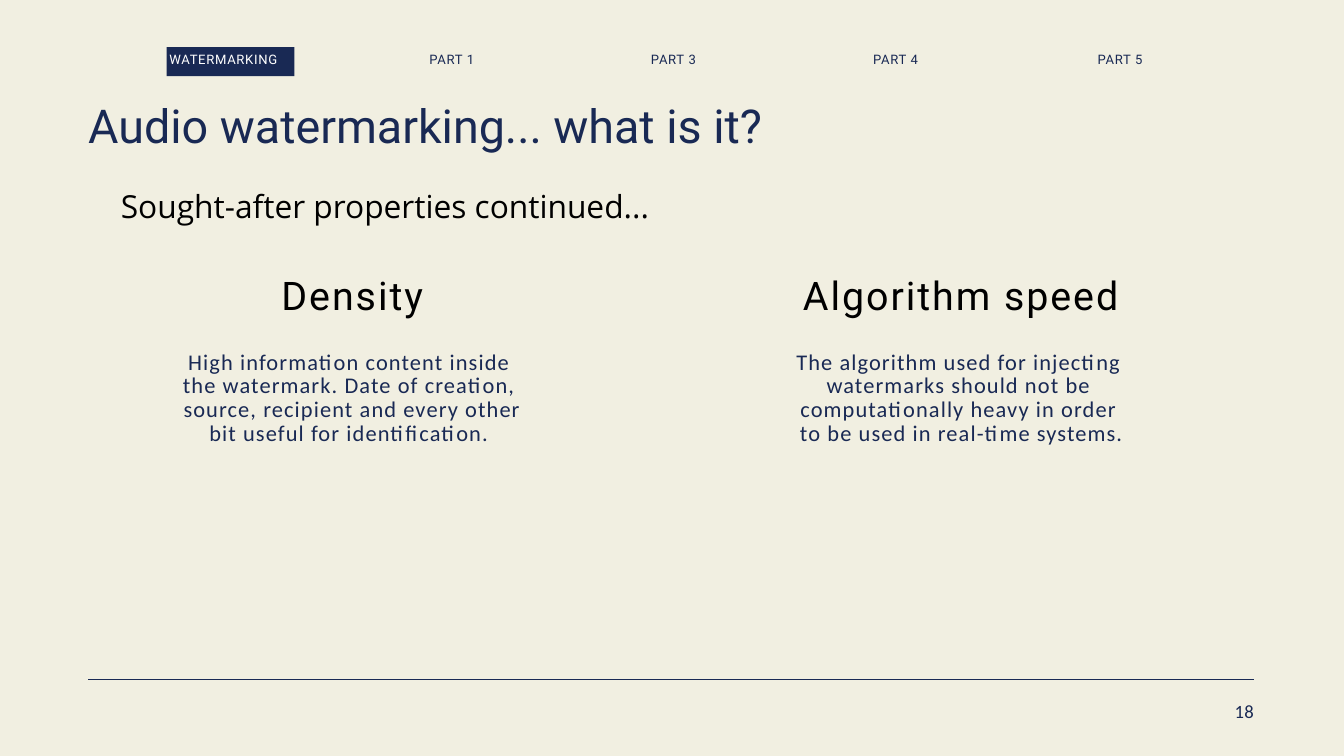
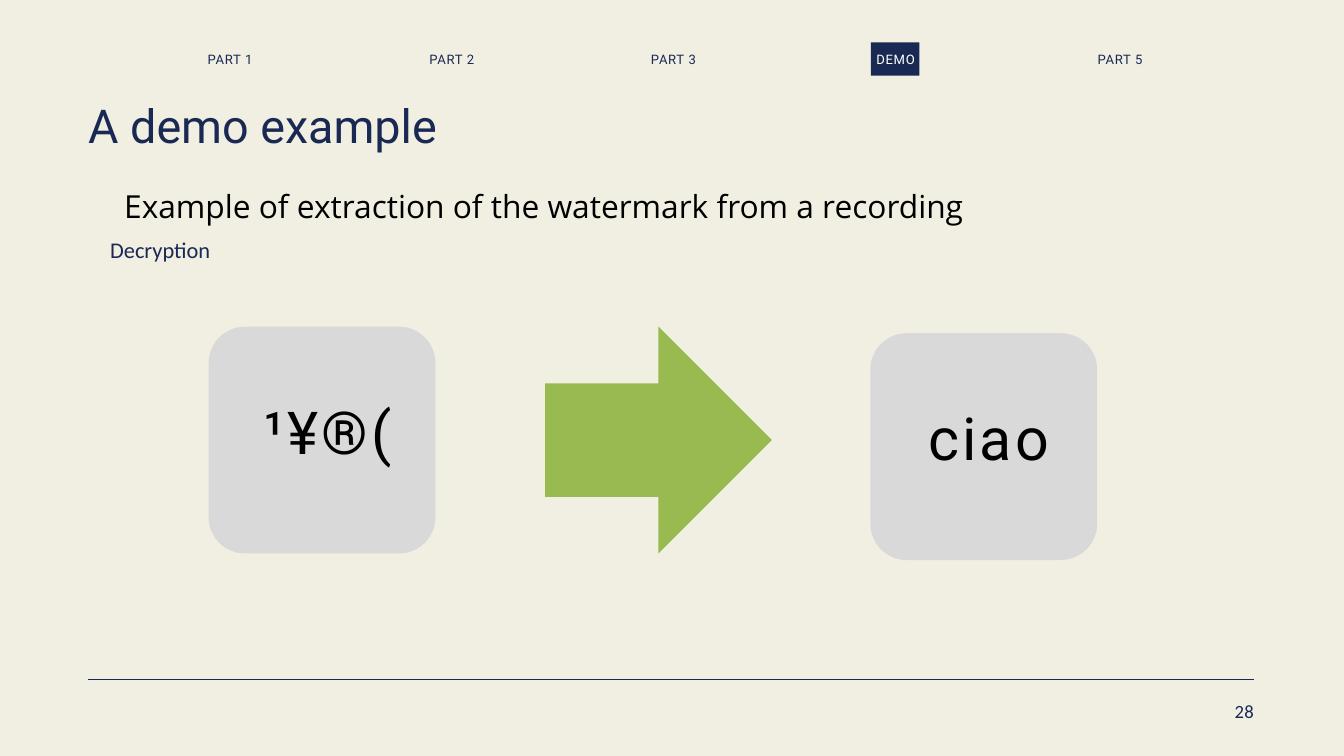
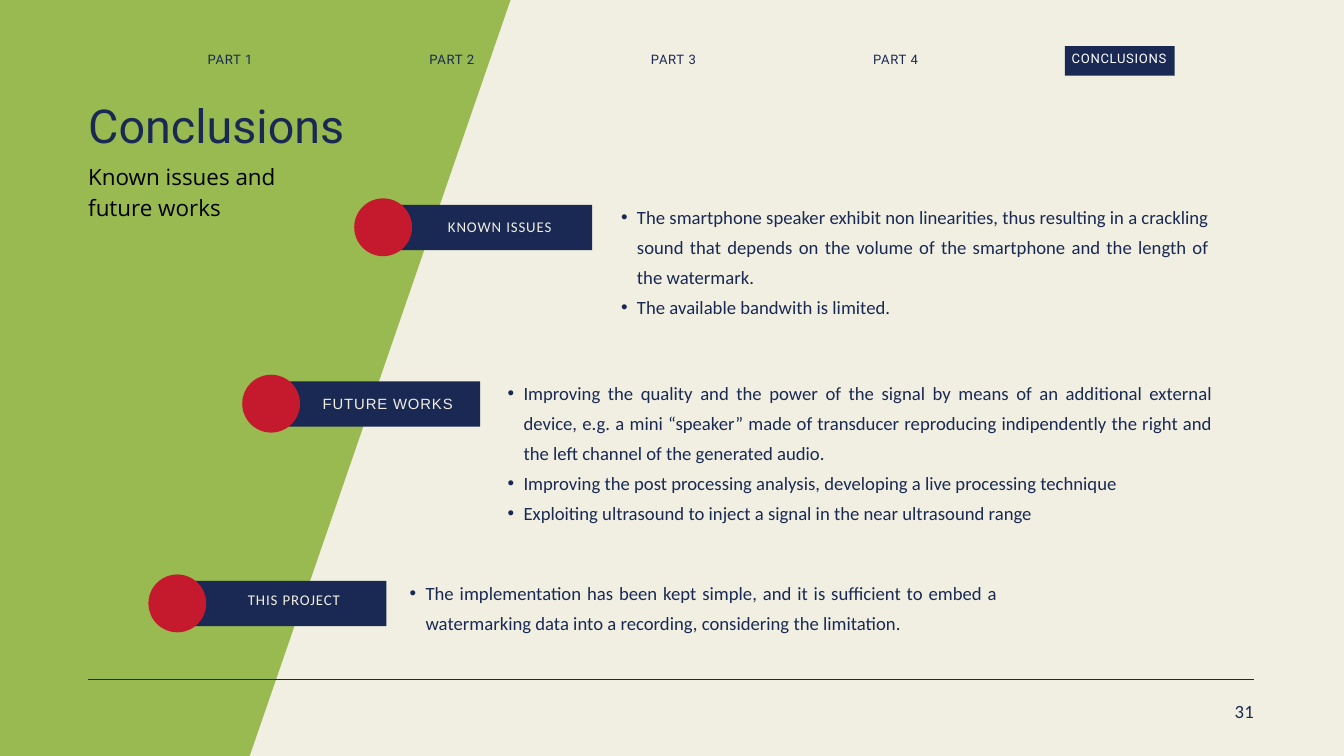
from lxml import etree
from pptx import Presentation
from pptx import util as u
from pptx.dml import color
from pptx.enum import shapes, text
from pptx.oxml import ns

HUES = {"paper": "F1EFE1", "navy": "192954", "green": "99B951", "red": "C5192D",
        "grey": "D9D9D9", "black": "000000", "white": "FFFFFF"}
SIDES = {"l": text.PP_ALIGN.LEFT, "c": text.PP_ALIGN.CENTER,
         "r": text.PP_ALIGN.RIGHT, "j": text.PP_ALIGN.JUSTIFY}
KINDS = shapes.MSO_SHAPE

# Style: font, size, colour, line height, letter spacing, alignment
STYLES = {
    "title": ("Roboto", 50, "navy", 52.5, 0, "j"),
    "tab": ("Roboto", 14, "navy", 14.8, 0.7, "l"),
    "page": ("Calibri", 20, "navy", 28, 0.4, "r"),
    "lead": ("Open Sans", 34, "black", 47.6, 0, "l"),
    "sub": ("Open Sans", 24, "black", 33.6, 0, "l"),
    "head": ("Roboto", 42.2, "black", 44.7, 2.1, "c"),
    "body": ("Calibri", 24, "navy", 25.4, 1.2, "c"),
    "note": ("Calibri", 24, "navy", 36, 0, "l"),
    "sign": ("Roboto", 63.4, "black", 67.2, 3.2, "c"),
    "label": ("Calibri", 15.9, "paper", 19.1, 0.9, "c"),
    "list": ("Calibri", 20, "navy", 32, 0, "j"),
}
TABS = (222.5, 460, 697.5, 935.5, 1176)


def tint(name):
    return color.RGBColor.from_string(HUES[name])


def pts(*nums):
    return [u.Pt(n) for n in nums]


class Deck:
    def __init__(self):
        self.prs = Presentation()
        self.prs.slide_width, self.prs.slide_height = pts(1440, 810)
        self.slide = None

    def start(self):
        self.slide = self.prs.slides.add_slide(self.prs.slide_layouts[6])
        fill = self.slide.background.fill
        fill.solid()
        fill.fore_color.rgb = tint("paper")

    def paint(self, shape, hue):
        shape.shadow.inherit = False
        shape.fill.solid()
        shape.fill.fore_color.rgb = tint(hue)
        shape.line.fill.background()
        return shape

    def shape(self, kind, box, hue):
        return self.paint(self.slide.shapes.add_shape(kind, *pts(*box)), hue)

    def outline(self, dots, hue):
        dots = [pts(*dot) for dot in dots]
        form = self.slide.shapes.build_freeform(*dots[0], scale=1.0)
        form.add_line_segments(dots[1:], close=True)
        self.paint(form.convert_to_shape(), hue)

    def rule(self):
        line = self.slide.shapes.add_connector(
            shapes.MSO_CONNECTOR.STRAIGHT, *pts(94.5, 728, 1343.5, 728))
        line.line.color.rgb = tint("navy")
        line.line.width = u.Pt(0.75)
        etree.SubElement(line._element.spPr, ns.qn("a:effectLst"))

    def words(self, style, box, *lines, **swap):
        """Write one paragraph per line; swap may give font, hue or side."""
        font, size, hue, high, gap, side = STYLES[style]
        frame = self.slide.shapes.add_textbox(*pts(*box)).text_frame
        frame.word_wrap = True
        frame.margin_left = frame.margin_right = 0
        frame.margin_top = frame.margin_bottom = 0
        for i, line in enumerate(lines):
            para = frame.add_paragraph() if i else frame.paragraphs[0]
            para.alignment = SIDES[swap.get("side", side)]
            para.line_spacing = u.Pt(high)
            run = para.add_run()
            run.text = line
            run.font.name = swap.get("font", font)
            run.font.size = u.Pt(size)
            run.font.color.rgb = tint(swap.get("hue", hue))
            if gap:
                run.font._element.set("spc", str(round(gap * 100)))
            if style == "list":
                self.bullet(para)

    def bullet(self, para):
        props = para._p.get_or_add_pPr()
        props.set("marL", str(u.Pt(34)))
        props.set("indent", str(u.Pt(-17)))
        etree.SubElement(props, ns.qn("a:buFont"), typeface="Arial")
        etree.SubElement(props, ns.qn("a:buChar"), char="•")

    def frame(self, title, page, tabs, live, plate, spot, side="l"):
        """Draw title, footer and tabs; the live tab sits on a plate."""
        self.rule()
        self.words("page", (1200, 746, 143.5, 27), page)
        self.words("title", (94.5, 111, 980, 62), title)
        self.shape(KINDS.RECTANGLE, plate, "navy")
        for i, (left, name) in enumerate(zip(TABS, tabs)):
            if i == live:
                self.words("tab", spot, name, hue="white", side=side)
            else:
                self.words("tab", (left, 57, 55, 17), name)

    def tile(self, left, top, sign, spot):
        tile = self.shape(KINDS.ROUNDED_RECTANGLE, (left, top, 243, 243), "grey")
        tile.adjustments[0] = 0.16
        self.words("sign", spot, sign)

    def step(self, left, top, name, drop, spot, lines, font="Calibri"):
        """Draw a labelled bar with a disc, and its list at spot (left, width)."""
        self.shape(KINDS.RECTANGLE, (left, top, 227, 48.5), "navy")
        self.shape(KINDS.OVAL, (left - 28, top - 7, 62, 62), "red")
        self.words("label", (left + 34, top + drop, 188, 19), name, font=font)
        self.words("list", (spot[0], top - 7, spot[1], 32 * len(lines)), *lines)


def traits(deck):
    deck.start()
    deck.frame("Audio watermarking... what is it?", "18",
               ("WATERMARKING", "PART 1", "PART 3", "PART 4", "PART 5"), 0,
               (178.5, 50.5, 137, 31), (181.5, 57, 132, 17))
    deck.words("lead", (129.5, 193.5, 688, 45),
               "Sought-after properties continued...")
    deck.words("head", (296.5, 296.5, 162, 51), "Density")
    deck.words("head", (851, 296.5, 357, 51), "Algorithm speed")
    deck.words("body", (181.5, 376, 391, 100),
               "High information content inside ",
               "the watermark. Date of creation, ",
               "source, recipient and every other",
               "bit useful for identification. ")
    deck.words("body", (836.5, 376, 387, 100),
               "The algorithm used for injecting ",
               "watermarks should not be ",
               "computationally heavy in order ",
               "to be used in real-time systems.")


def demo(deck):
    deck.start()
    deck.frame("A demo example", "28",
               ("PART 1", "PART 2", "PART 3", "DEMO", "PART 5"), 3,
               (933, 45.5, 52, 35.5), (939, 57, 48, 17))
    deck.words("lead", (93.5, 193.5, 978.5, 45),
               "Example of extraction of the watermark from a recording", side="c")
    deck.words("note", (118, 246, 602, 68), "Decryption")
    deck.tile(223.5, 350, "¹¥®(", (276, 432, 150, 76))
    deck.shape(KINDS.RIGHT_ARROW, (584, 350, 243, 243), "green")
    deck.tile(932.5, 357, "ciao", (991.5, 439, 136, 78))


def close(deck):
    deck.start()
    deck.outline([(0, 0), (547, 0), (267.5, 810), (0, 810)], "green")
    deck.frame("Conclusions", "31",
               ("PART 1", "PART 2", "PART 3", "PART 4", "CONCLUSIONS"), 4,
               (1141, 49.5, 117.5, 31.5), (1141, 56, 116, 17), "c")
    deck.words("sub", (94.5, 170, 274, 64), "Known issues and future works")
    deck.step(407.5, 219.5, "KNOWN ISSUES", 14, (648.5, 646.5), (
        "The smartphone speaker exhibit non linearities, thus resulting in a "
        "crackling sound that depends on the volume of the smartphone and the "
        "length of the watermark.",
        "The available bandwith is limited."))
    deck.step(287.5, 408.5, "FUTURE WORKS", 14, (527, 772), (
        "Improving the quality and the power of the signal by means of an "
        "additional external device, e.g. a mini “speaker” made of transducer "
        "reproducing indipendently the right and the left channel of the "
        "generated audio.",
        "Improving the post processing analysis, developing a live processing "
        "technique",
        "Exploiting ultrasound to inject a signal in the near ultrasound range"),
        font="Arial")
    deck.step(187, 622.5, "THIS PROJECT", 10.5, (422, 646.5), (
        "The implementation has been kept simple, and it is sufficient to embed "
        "a watermarking data into a recording, considering the limitation. ",))


def main():
    deck = Deck()
    for build in (traits, demo, close):
        build(deck)
    deck.prs.save("out.pptx")


if __name__ == "__main__":
    main()
